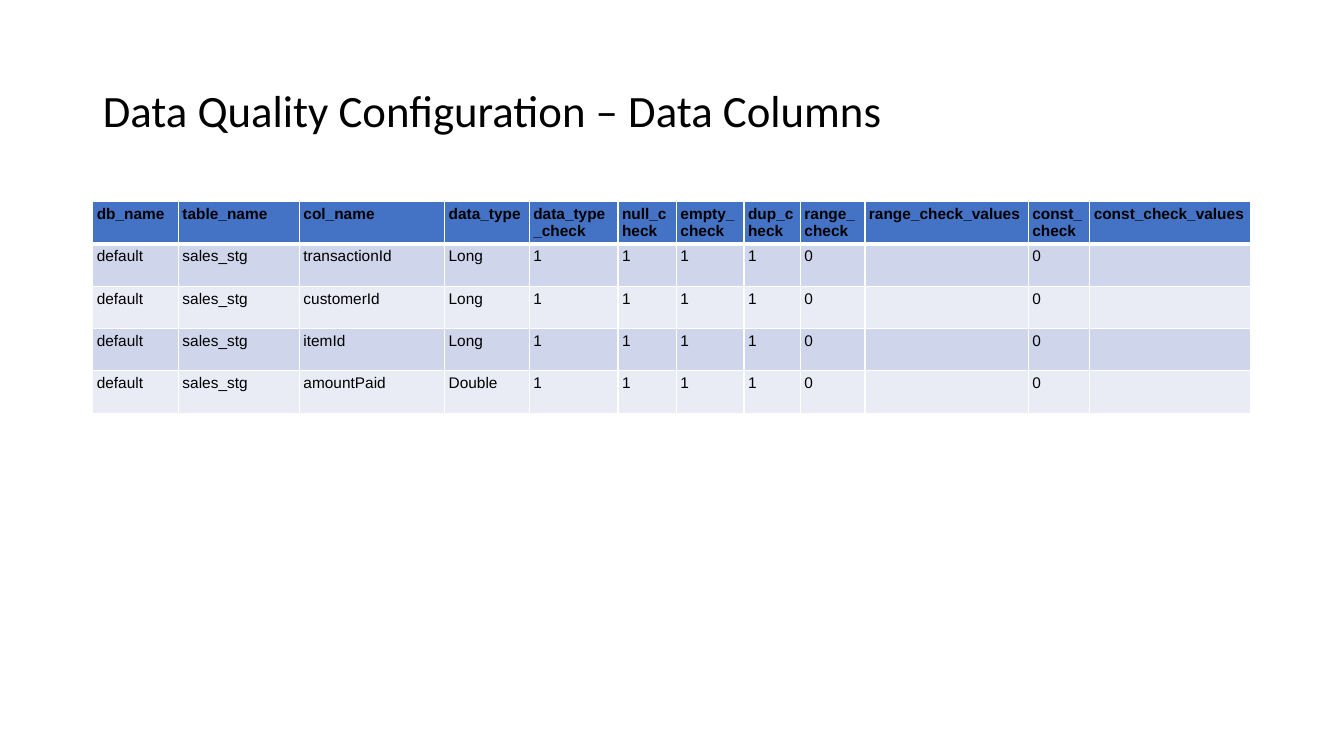
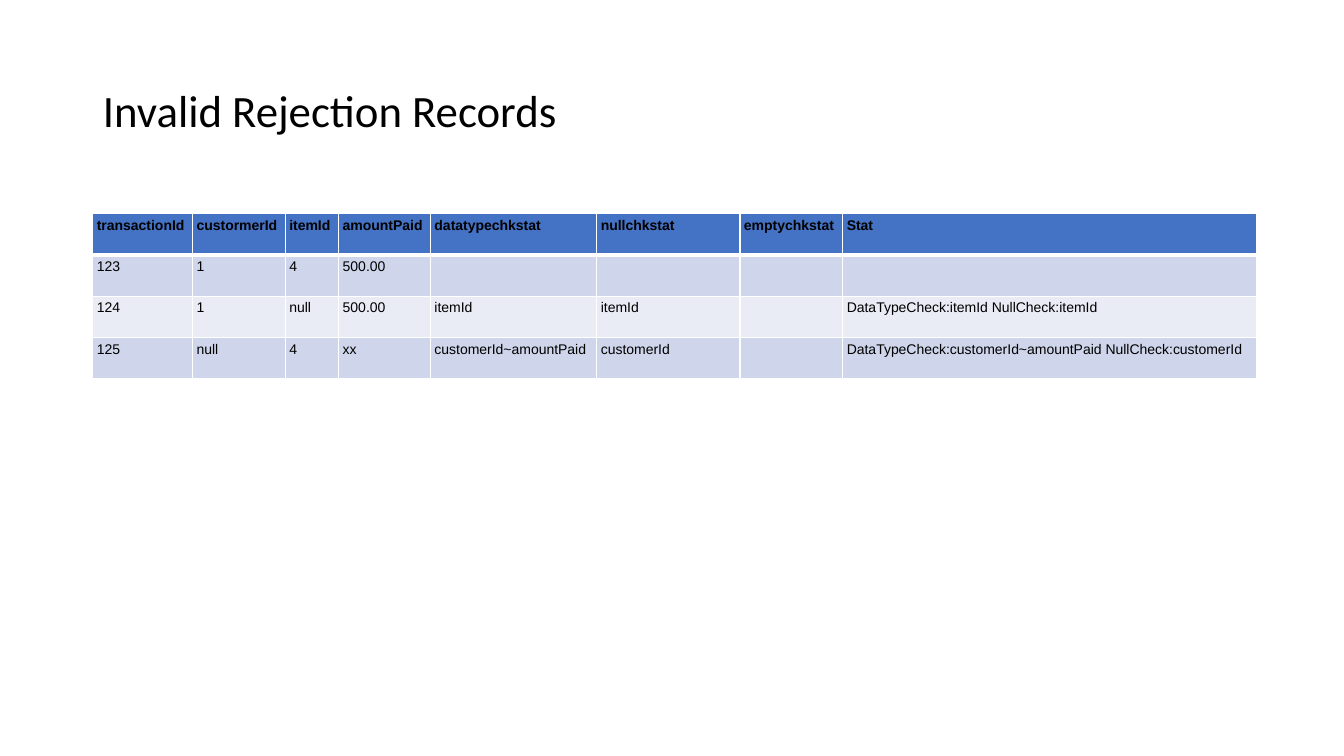
from lxml import etree
from pptx import Presentation
from pptx import util as u
from pptx.dml.color import RGBColor
from pptx.enum import text
from pptx.oxml import ns

BLACK, WHITE = "000000", "FFFFFF"
HEADER = "4472C4"
BANDS = ("CFD5EA", "E9EBF5")
LEFT = 0.92
TITLE_BOX = (LEFT, 0.4, 11.5, 1.45)
CELL_MARGIN = 0.04

CHECK_HEADERS = [
    "db_name", "table_name", "col_name", "data_type", "data_type_check",
    "null_check", "empty_check", "dup_check", "range_check",
    "range_check_values", "const_check", "const_check_values",
]
CHECK_WIDTHS = [0.85, 1.2, 1.44, 0.84, 0.88, 0.58, 0.67, 0.56, 0.64, 1.62, 0.61, 1.6]
CHECKED_COLUMNS = [
    ("transactionId", "Long"),
    ("customerId", "Long"),
    ("itemId", "Long"),
    ("amountPaid", "Double"),
]

REJECT_WIDTHS = [0.99, 0.92, 0.53, 0.91, 1.65, 1.42, 1.02, 4.1]
REJECT_ROWS = [
    ["transactionId", "custormerId", "itemId", "amountPaid",
     "datatypechkstat", "nullchkstat", "emptychkstat", "Stat"],
    ["123", "1", "4", "500.00", "", "", "", ""],
    ["124", "1", "null", "500.00", "itemId", "itemId", "",
     "DataTypeCheck:itemId NullCheck:itemId"],
    ["125", "null", "4", "xx", "customerId~amountPaid", "customerId", "",
     "DataTypeCheck:customerId~amountPaid NullCheck:customerId"],
]


def color(value):
    return RGBColor.from_string(value)


def add_run(p, content, font, size, bold=False):
    r = p.add_run()
    r.text = content
    r.font.name = font
    r.font.size = u.Pt(size)
    r.font.bold = bold
    r.font.color.rgb = color(BLACK)


def add_titled_slide(prs, title):
    s = prs.slides.add_slide(prs.slide_layouts.get_by_name("Title Only"))
    sp = s.shapes.title
    sp.left, sp.top, sp.width, sp.height = map(u.Inches, TITLE_BOX)
    tf = sp.text_frame
    tf.word_wrap = True
    tf.auto_size = text.MSO_AUTO_SIZE.NONE
    tf.vertical_anchor = text.MSO_ANCHOR.MIDDLE
    p = tf.paragraphs[0]
    p.alignment = text.PP_ALIGN.LEFT
    p.line_spacing = 0.9
    add_run(p, title, "Calibri", 32)
    return s


def set_borders(cell, top, bottom):
    tc_pr = cell._tc.get_or_add_tcPr()
    for side, width in (("L", 1), ("R", 1), ("T", top), ("B", bottom)):
        ln = etree.SubElement(tc_pr, ns.qn(f"a:ln{side}"), w=str(u.Pt(width)))
        fill = etree.SubElement(ln, ns.qn("a:solidFill"))
        etree.SubElement(fill, ns.qn("a:srgbClr"), val=WHITE)


def format_cell(cell, content, row, size):
    set_borders(cell, 3 if row == 1 else 1, 3 if row == 0 else 1)
    cell.fill.solid()
    cell.fill.fore_color.rgb = color(BANDS[(row - 1) % 2] if row else HEADER)
    cell.margin_left = cell.margin_right = u.Inches(CELL_MARGIN)
    cell.margin_top = cell.margin_bottom = u.Inches(CELL_MARGIN)
    if content:
        add_run(cell.text_frame.paragraphs[0], content, "Arial", size, row == 0)


def add_grid(s, top, widths, row_height, rows, size):
    frame = s.shapes.add_table(
        len(rows), len(widths), u.Inches(LEFT), u.Inches(top),
        u.Inches(sum(widths)), u.Inches(row_height * len(rows)))
    table = frame.table
    for column, width in zip(table.columns, widths):
        column.width = u.Inches(width)
    for i, values in enumerate(rows):
        table.rows[i].height = u.Inches(row_height)
        for j, content in enumerate(values):
            format_cell(table.cell(i, j), content, i, size)


def main():
    prs = Presentation()
    prs.slide_width, prs.slide_height = u.Inches(13.33), u.Inches(7.5)

    s = add_titled_slide(prs, "Data Quality Configuration – Data Columns")
    flags = ["1"] * 4 + ["0", "", "0", ""]
    checks = [["default", "sales_stg", name, kind, *flags]
              for name, kind in CHECKED_COLUMNS]
    add_grid(s, 2, CHECK_WIDTHS, 0.42, [CHECK_HEADERS, *checks], 11)

    s = add_titled_slide(prs, "Invalid Rejection Records")
    add_grid(s, 2.12, REJECT_WIDTHS, 0.41, REJECT_ROWS, 10)

    prs.save("out.pptx")


if __name__ == "__main__":
    main()
